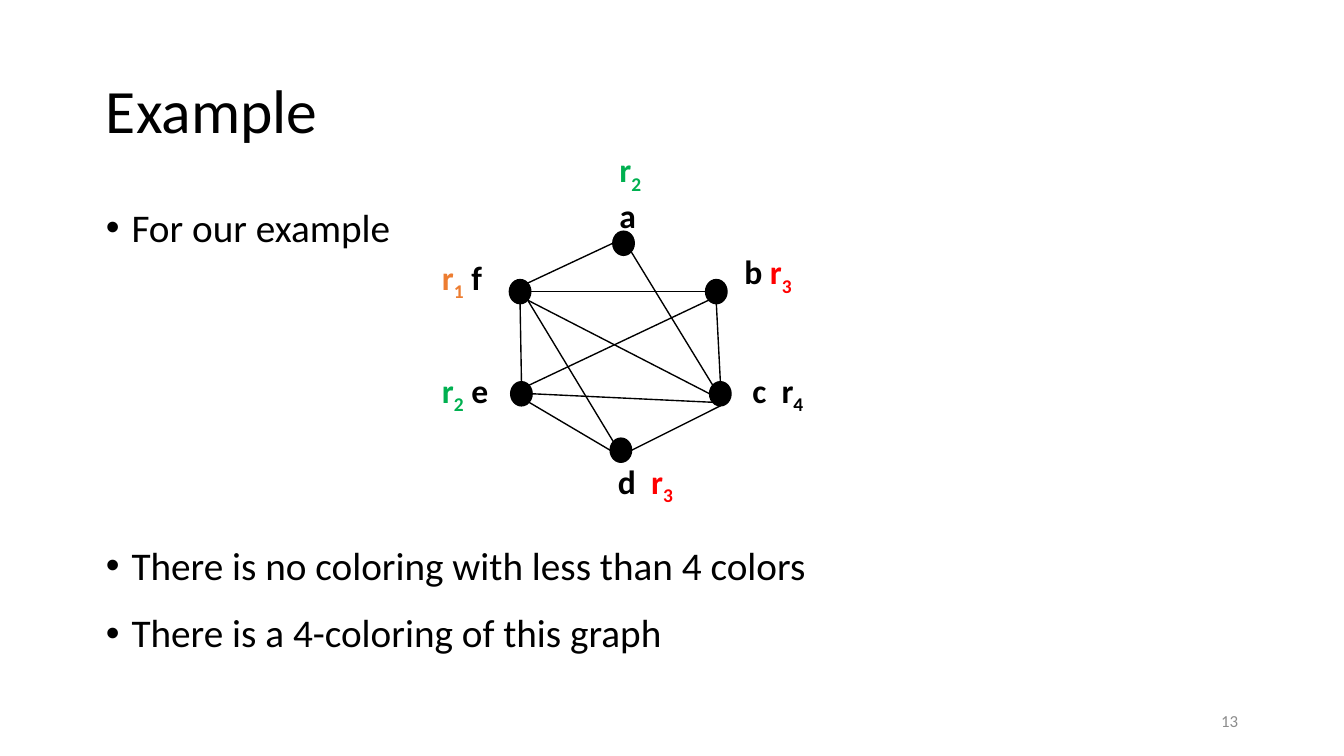
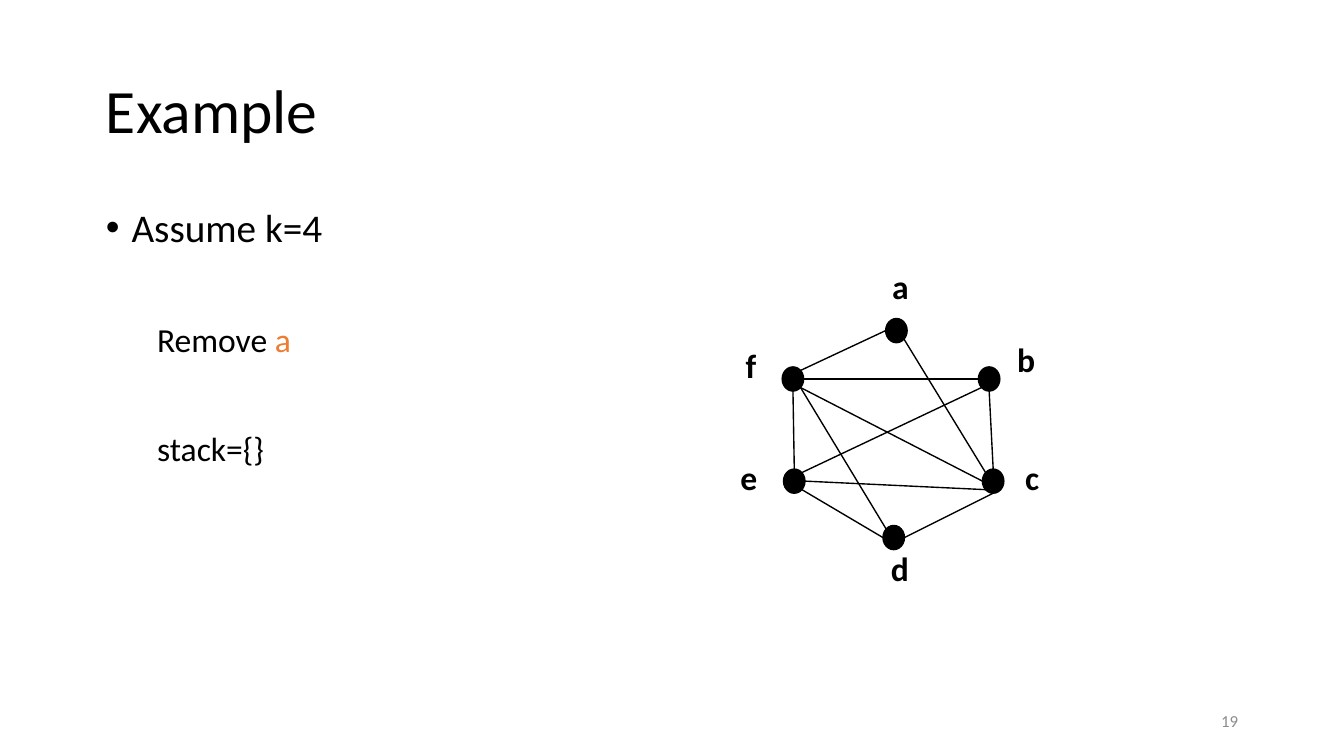
from math import hypot

from lxml.etree import SubElement
from pptx import Presentation
from pptx.dml.color import RGBColor
from pptx.enum.shapes import MSO_CONNECTOR, MSO_SHAPE
from pptx.enum.text import MSO_ANCHOR, PP_ALIGN
from pptx.oxml.ns import qn
from pptx.util import Inches, Pt

# Shared style
FONT = "Calibri"
BLACK, GRAY = "000000", "8C8C8C"
GREEN, RED, ORANGE = "00B050", "FF0000", "ED7D31"
MARGIN, CONTENT_WIDTH = 0.69, 8.62

# Interference graph: node centres, and edges as node.side pairs
NODE_WIDTH, NODE_HEIGHT = 0.16, 0.18
NODES = {"a": (4.64, 1.81), "b": (5.33, 2.17), "c": (5.36, 2.93),
         "d": (4.62, 3.35), "e": (3.88, 2.93), "f": (3.87, 2.17)}
SIDES = {"n": (0, -1), "s": (0, 1), "w": (-1, 0), "e": (1, 0),
         "nw": (-1, -1), "ne": (1, -1), "sw": (-1, 1), "se": (1, 1)}
EDGES = ["a.w f.ne", "e.n f.s", "d.nw f.se", "d.w e.se", "a.se c.nw", "b.w f.e",
         "c.w f.se", "b.s c.n", "c.sw e.e", "c.s d.e", "b.sw e.ne"]
LABEL_BOXES = {"a": (4.51, 1.28, 0.41, 0.4), "b": (5.44, 1.82, 0.64, 0.4),
               "c": (5.5, 2.7, 0.76, 0.4), "d": (4.5, 3.38, 0.76, 0.4),
               "e": (3.38, 2.7, 0.63, 0.4), "f": (3.42, 1.87, 0.69, 0.4)}
# Labels that need more room once a register is written beside the node
COLORED_BOXES = LABEL_BOXES | {"a": (4.51, 1.06, 0.41, 0.71),
                               "e": (3.19, 2.7, 0.63, 0.4),
                               "f": (3.19, 1.86, 0.69, 0.4)}


def rgb(color):
    return RGBColor.from_string(color)


def add_run(paragraph, text, size, color=BLACK, bold=False, baseline=0, spacing=0):
    run = paragraph.add_run()
    run.text = text
    run.font.name = FONT
    run.font.size = Pt(size)
    run.font.bold = bold
    run.font.color.rgb = rgb(color)
    properties = run._r.get_or_add_rPr()
    if baseline:
        properties.set("baseline", str(baseline * 1000))
    if spacing:
        properties.set("spc", str(spacing * 100))


def add_text_box(slide, box, anchor=MSO_ANCHOR.TOP):
    frame = slide.shapes.add_textbox(*map(Inches, box)).text_frame
    frame.word_wrap = True
    frame.vertical_anchor = anchor
    return frame


def next_paragraph(frame, index):
    return frame.add_paragraph() if index else frame.paragraphs[0]


def set_indent(paragraph, left, first=0.0, bullet=None):
    properties = paragraph._p.get_or_add_pPr()
    properties.set("marL", str(Inches(left)))
    properties.set("indent", str(Inches(first)))
    if bullet:
        SubElement(properties, qn("a:buFont"), typeface="Arial")
        SubElement(properties, qn("a:buChar"), char=bullet)
    else:
        SubElement(properties, qn("a:buNone"))


# Slide frame: title and page number
def add_example_slide(presentation, number):
    slide = presentation.slides.add_slide(presentation.slide_layouts[6])
    title = add_text_box(slide, (MARGIN, 0.3, CONTENT_WIDTH, 1.09),
                         MSO_ANCHOR.MIDDLE).paragraphs[0]
    title.line_spacing = 0.9
    add_run(title, "Example", 33)
    page = add_text_box(slide, (7.06, 5.21, 2.25, 0.3), MSO_ANCHOR.MIDDLE).paragraphs[0]
    page.alignment = PP_ALIGN.RIGHT
    add_run(page, str(number), 9, GRAY)
    return slide


# Body: items are (level, space before, runs of text and colour)
def add_body(slide, items):
    frame = add_text_box(slide, (MARGIN, 1.5, CONTENT_WIDTH, 3.57))
    for index, (level, space_before, runs) in enumerate(items):
        paragraph = next_paragraph(frame, index)
        if level:
            set_indent(paragraph, 0.38)
        else:
            set_indent(paragraph, 0.19, -0.19, "•")
        paragraph.line_spacing = 0.9
        paragraph.space_before = Pt(space_before)
        paragraph.space_after = Pt(6)
        for text, color in runs:
            add_run(paragraph, text, 18 if level else 21, color)


# Graph
def add_node(slide, center):
    x, y = center
    node = slide.shapes.add_shape(
        MSO_SHAPE.OVAL, Inches(x - NODE_WIDTH / 2), Inches(y - NODE_HEIGHT / 2),
        Inches(NODE_WIDTH), Inches(NODE_HEIGHT))
    node.shadow.inherit = False
    node.fill.solid()
    node.fill.fore_color.rgb = rgb(BLACK)
    node.line.color.rgb = rgb(BLACK)
    node.line.width = Pt(0.75)


def add_node_label(slide, box, lines):
    frame = add_text_box(slide, box)
    for index, runs in enumerate(lines):
        paragraph = next_paragraph(frame, index)
        for text, style in runs:
            add_run(paragraph, text, 18, bold=True, **style)


def rim_point(center, side):
    dx, dy = SIDES[side]
    length = hypot(dx, dy)
    return (center[0] + NODE_WIDTH / 2 * dx / length,
            center[1] + NODE_HEIGHT / 2 * dy / length)


def add_edge(slide, start, end):
    edge = slide.shapes.add_connector(MSO_CONNECTOR.STRAIGHT, *map(Inches, start + end))
    edge.line.color.rgb = rgb(BLACK)
    edge.line.width = Pt(0.75)
    SubElement(edge._element.spPr, qn("a:effectLst"))


def add_graph(slide, offset, boxes, labels):
    centers = {name: (x + offset[0], y + offset[1]) for name, (x, y) in NODES.items()}
    for name, center in centers.items():
        add_node(slide, center)
        left, top, width, height = boxes[name]
        add_node_label(slide, (left + offset[0], top + offset[1], width, height),
                       labels[name])
    for edge in EDGES:
        ends = (end.split(".") for end in edge.split())
        add_edge(slide, *(rim_point(centers[name], side) for name, side in ends))


def register(number, color):
    return [("r", {"color": color}), (str(number), {"color": color, "baseline": -25})]


def main():
    presentation = Presentation()
    presentation.slide_width = Inches(10)
    presentation.slide_height = Inches(10) * 9 // 16

    # Coloured graph
    slide = add_example_slide(presentation, 13)
    add_body(slide, [
        (0, 0, [("For our example", BLACK)]),
        (0, 152.5, [("There is no coloring with less than 4 colors", BLACK)]),
        (0, 7.5, [("There is a 4-coloring of this graph", BLACK)])])
    wide_space = (" ", {"spacing": 4})
    add_graph(slide, (0, 0), COLORED_BOXES, {
        "a": [register(2, GREEN), [("a", {})]],
        "b": [[("b ", {}), *register(3, RED)]],
        "c": [[("c", {}), wide_space, *register(4, BLACK)]],
        "d": [[("d", {}), wide_space, *register(3, RED)]],
        "e": [[*register(2, GREEN), (" e", {})]],
        "f": [[*register(1, ORANGE), (" f", {})]]})

    # First removal step
    slide = add_example_slide(presentation, 19)
    add_body(slide, [
        (0, 0, [("Assume k=4", BLACK)]),
        (1, 33, [("Remove ", BLACK), ("a", ORANGE)]),
        (1, 33, [("stack={}", BLACK)])])
    add_graph(slide, (2.03, 0.65), LABEL_BOXES, {name: [[(name, {})]] for name in NODES})

    presentation.save("out.pptx")


if __name__ == "__main__":
    main()
